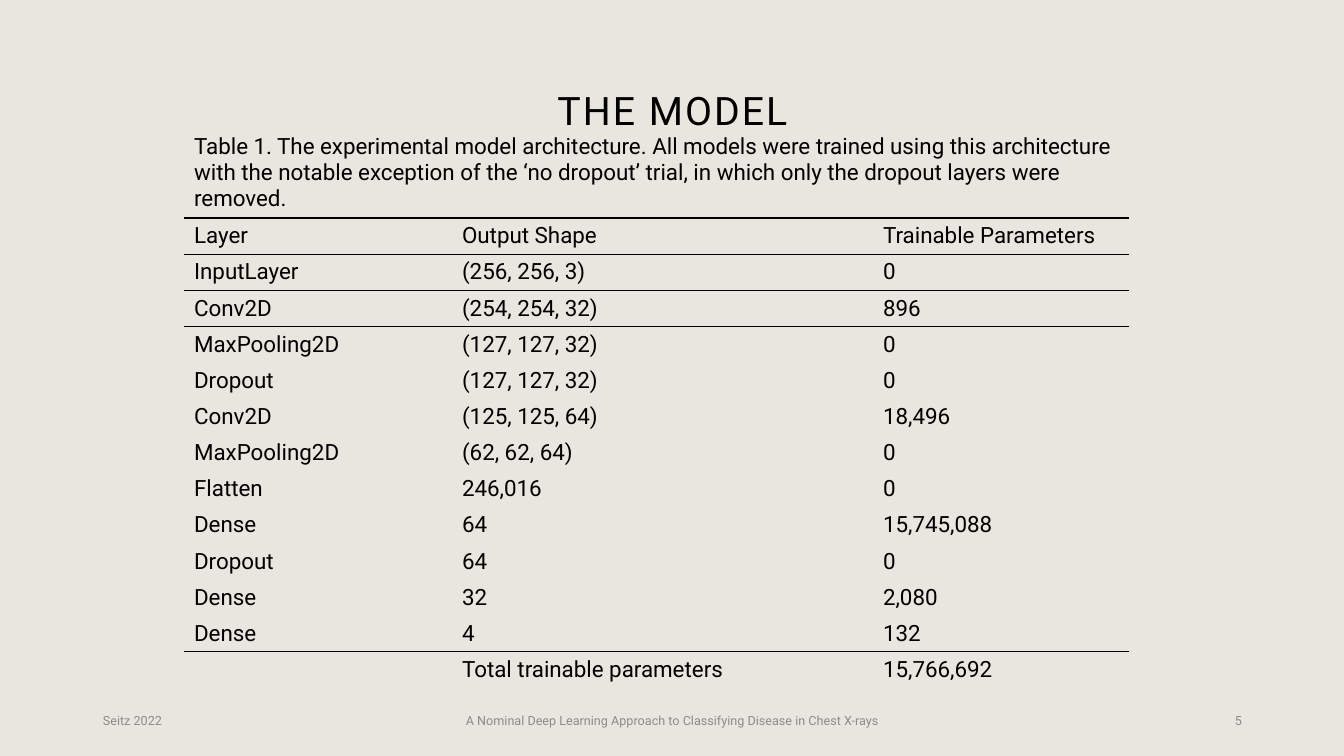
from lxml import etree
from pptx import Presentation
from pptx.dml.color import RGBColor
from pptx.enum.text import MSO_ANCHOR, PP_ALIGN
from pptx.oxml.ns import qn
from pptx.util import Emu, Pt

LEFT, CENTER, RIGHT = PP_ALIGN.LEFT, PP_ALIGN.CENTER, PP_ALIGN.RIGHT
MIDDLE = MSO_ANCHOR.MIDDLE
EMU_PER_PX = 914400 / 100.8
TITLE_ONLY_LAYOUT = 5
NO_GRID_STYLE = "{2D5ABB26-0587-4C30-8999-92F81FD0307C}"

FONT = "Roboto"
BACKGROUND, BLACK, GRAY = "E9E6DF", "000000", "8B8B8B"

CAPTION = (
    "Table 1. The experimental model architecture. All models were trained "
    "using this architecture with the notable exception of the ‘no dropout’ "
    "trial, in which only the dropout layers were removed."
)
MODEL_ROWS = [
    ("Layer", "Output Shape", "Trainable Parameters"),
    ("InputLayer", "(256, 256, 3)", "0"),
    ("Conv2D", "(254, 254, 32)", "896"),
    ("MaxPooling2D", "(127, 127, 32)", "0"),
    ("Dropout", "(127, 127, 32)", "0"),
    ("Conv2D", "(125, 125, 64)", "18,496"),
    ("MaxPooling2D", "(62, 62, 64)", "0"),
    ("Flatten", "246,016", "0"),
    ("Dense", "64", "15,745,088"),
    ("Dropout", "64", "0"),
    ("Dense", "32", "2,080"),
    ("Dense", "4", "132"),
    ("", "Total trainable parameters", "15,766,692"),
]
COLUMN_WIDTHS = (268, 421, 256)
CAPTION_HEIGHT, ROW_HEIGHT = 89, 36
RULED_ROWS = (0, 1, 2, 12)  # rows with a line below them

FOOTERS = [
    ("Seitz 2022", 93, 302, LEFT),
    ("A Nominal Deep Learning Approach to Classifying Disease in Chest X-rays",
     445, 454, CENTER),
    ("5", 950, 302, RIGHT),
]


def px(length):
    return Emu(round(length * EMU_PER_PX))


def color(hex_string):
    return RGBColor.from_string(hex_string)


def write_text(frame, text, size=16, fill=BLACK, align=LEFT,
               line_spacing=None, letter_spacing=None):
    paragraph = frame.paragraphs[0]
    paragraph.alignment = align
    paragraph.line_spacing = line_spacing
    run = paragraph.add_run()
    run.text = text
    run.font.name = FONT
    run.font.size = Pt(size)
    run.font.color.rgb = color(fill)
    if letter_spacing:
        run.font._element.set("spc", str(round(letter_spacing * 100)))


def add_title(slide, text):
    title = slide.shapes.title
    title.left, title.top = px(93), px(40)
    title.width, title.height = px(1159), px(146)
    title.text_frame.vertical_anchor = MIDDLE
    write_text(title.text_frame, text, size=28, align=CENTER,
               line_spacing=0.9, letter_spacing=1.5)


def add_footer(slide, text, left, width, align):
    box = slide.shapes.add_textbox(px(left), px(701), px(width), px(40))
    box.text_frame.word_wrap = True
    box.text_frame.vertical_anchor = MIDDLE
    write_text(box.text_frame, text, size=9, fill=GRAY, align=align)


def add_border(cell, tags):
    """Draw black lines on the given sides, tags in schema order."""
    properties = cell._tc.get_or_add_tcPr()
    for position, tag in enumerate(tags):
        line = etree.Element(qn(tag), w=str(Pt(0.96)))
        solid = etree.SubElement(line, qn("a:solidFill"))
        etree.SubElement(solid, qn("a:srgbClr"), val=BLACK)
        properties.insert(position, line)


def add_model_table(slide):
    row_count = len(MODEL_ROWS) + 1
    frame = slide.shapes.add_table(
        row_count, len(COLUMN_WIDTHS), px(184), px(129),
        px(sum(COLUMN_WIDTHS)),
        px(CAPTION_HEIGHT + ROW_HEIGHT * len(MODEL_ROWS)))
    table = frame.table
    table.first_row = table.horz_banding = False
    table._tbl.tblPr.find(qn("a:tableStyleId")).text = NO_GRID_STYLE
    for column, width in zip(table.columns, COLUMN_WIDTHS):
        column.width = px(width)
    for index, row in enumerate(table.rows):
        row.height = px(ROW_HEIGHT if index else CAPTION_HEIGHT)
        tags = []
        if index - 1 in RULED_ROWS:
            tags.append("a:lnT")
        if index in RULED_ROWS:
            tags.append("a:lnB")
        for cell in row.cells:
            cell.fill.background()
            add_border(cell, tags)

    table.cell(0, 0).merge(table.cell(0, len(COLUMN_WIDTHS) - 1))
    write_text(table.cell(0, 0).text_frame, CAPTION)
    for row_index, values in enumerate(MODEL_ROWS, start=1):
        for column_index, value in enumerate(values):
            write_text(table.cell(row_index, column_index).text_frame, value)


def main():
    presentation = Presentation()
    presentation.slide_width, presentation.slide_height = px(1344), px(756)
    layout = presentation.slide_layouts[TITLE_ONLY_LAYOUT]
    slide = presentation.slides.add_slide(layout)
    slide.background.fill.solid()
    slide.background.fill.fore_color.rgb = color(BACKGROUND)

    add_title(slide, "THE MODEL")
    add_model_table(slide)
    for text, left, width, align in FOOTERS:
        add_footer(slide, text, left, width, align)
    presentation.save("out.pptx")


if __name__ == "__main__":
    main()
